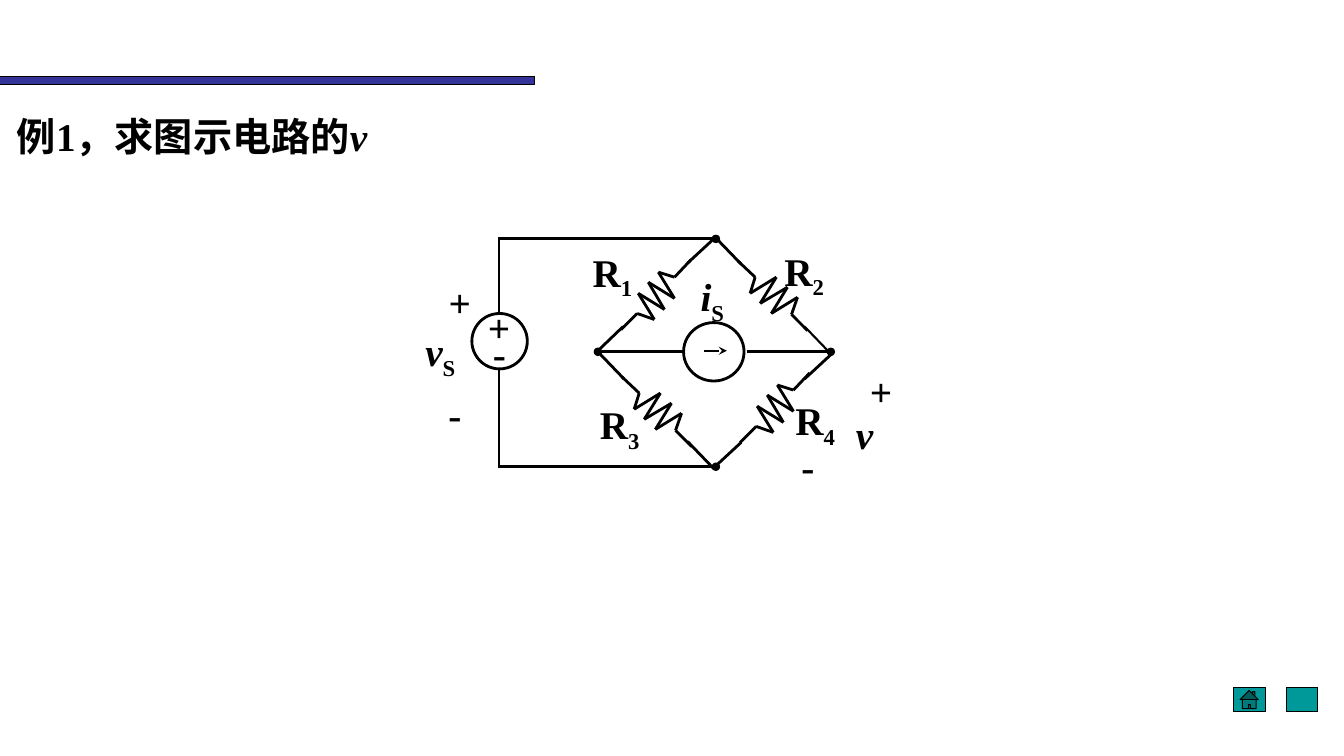
"""Build the slide with a bridge circuit exercise."""
from itertools import pairwise

from lxml.etree import SubElement
from pptx import Presentation
from pptx.dml.color import RGBColor
from pptx.enum.shapes import MSO_CONNECTOR, MSO_SHAPE
from pptx.enum.text import MSO_AUTO_SIZE, PP_ALIGN
from pptx.oxml.ns import qn
from pptx.util import Inches, Pt

BLACK = "000000"
FONT = "Times New Roman"

DECORATIONS = [
    (MSO_SHAPE.RECTANGLE, 0, 0.76, 5.3, 0.08, "333399"),
    (MSO_SHAPE.ACTION_BUTTON_HOME, 12.23, 6.82, 0.32, 0.24, "009999"),
    (MSO_SHAPE.ACTION_BUTTON_CUSTOM, 12.76, 6.82, 0.31, 0.24, "009999"),
]

SOURCES = [(6.78, 3.2, 0.6, 0.58), (4.68, 3.11, 0.55, 0.55)]

WIRES = [
    (4.94, 2.37, 7.1, 2.37, 2, "tailEnd", "oval"),
    (4.94, 4.63, 7.1, 4.63, 2, "tailEnd", "oval"),
    (5.93, 3.49, 6.76, 3.49, 2, "headEnd", "oval"),
    (7.41, 3.49, 8.24, 3.49, 2, "tailEnd", "oval"),
    (6.98, 3.48, 7.21, 3.48, 1.5, "tailEnd", "stealth"),
    (4.95, 3.12, 4.95, 2.37, 2),
    (4.95, 3.65, 4.95, 4.63, 2),
    (6.82, 2.61, 7.09, 2.36, 2),
    (7.09, 2.35, 7.35, 2.62, 2),
    (7.98, 3.76, 8.25, 3.51, 2),
    (5.92, 3.49, 6.18, 3.24, 2),
    (7.08, 4.64, 7.35, 4.39, 2),
    (7.98, 3.24, 8.24, 3.51, 1.5),
    (5.93, 3.49, 6.19, 3.76, 2),
    (6.82, 4.38, 7.08, 4.65, 2),
]

ZIGZAG = [(0, 0), (0.17, 0.16), (0.12, 0.32), (0.38, 0.16), (0.22, 0.42),
          (0.49, 0.26), (0.33, 0.52), (0.59, 0.36), (0.53, 0.53), (0.69, 0.69)]

RESISTORS = [(7.32, 2.59, False), (6.17, 3.74, False),
             (6.85, 2.58, True), (8.03, 3.7, True)]

PLAIN, ITALIC, SUB = "plain", "italic", "sub"
LABELS = [
    (0.07, 1.07, 6.8, True, [("例1，求图示电路的", PLAIN), ("v", ITALIC)]),
    (4.35, 2.71, 0.51, True, [("+", PLAIN)]),
    (4.35, 3.82, 0.33, False, [("-", PLAIN)]),
    (5.78, 2.41, 0.61, False, [("R", PLAIN), ("1", SUB)]),
    (7.68, 2.4, 0.61, False, [("R", PLAIN), ("2", SUB)]),
    (5.85, 3.92, 0.61, False, [("R", PLAIN), ("3", SUB)]),
    (7.79, 3.88, 0.61, False, [("R", PLAIN), ("4", SUB)]),
    (6.85, 2.65, 0.52, True, [("i", ITALIC), ("S", SUB)]),
    (4.12, 3.2, 0.52, False, [("v", ITALIC), ("S", SUB)]),
    (8.39, 4.02, 0.38, False, [("v", ITALIC)]),
    (8.53, 3.59, 0.42, False, [("+", PLAIN)]),
    (7.85, 4.34, 0.33, False, [("-", PLAIN)]),
    (4.79, 3.22, 0.52, True, [("-", PLAIN)]),
    (4.74, 2.96, 0.59, True, [("+", PLAIN)]),
]


def rgb(color):
    return RGBColor.from_string(color)


def add_shape(s, kind, x, y, w, h, fill=None, width=2):
    sp = s.shapes.add_shape(kind, Inches(x), Inches(y), Inches(w), Inches(h))
    sp.shadow.inherit = False
    if fill:
        sp.fill.solid()
        sp.fill.fore_color.rgb = rgb(fill)
    else:
        sp.fill.background()
    sp.line.color.rgb = rgb(BLACK)
    sp.line.width = Pt(width)


def add_line(s, x1, y1, x2, y2, width=2, end=None, marker=None):
    sp = s.shapes.add_connector(MSO_CONNECTOR.STRAIGHT, Inches(x1), Inches(y1),
                                Inches(x2), Inches(y2))
    sp.line.color.rgb = rgb(BLACK)
    sp.line.width = Pt(width)
    props = sp._element.spPr
    if end:
        SubElement(props.find(qn("a:ln")), qn("a:" + end), type=marker)
    SubElement(props, qn("a:effectLst"))


def add_resistor(s, x, y, turned):
    points = [(x - dy, y + dx) if turned else (x + dx, y + dy) for dx, dy in ZIGZAG]
    for start, stop in pairwise(points):
        add_line(s, *start, *stop)


def add_label(s, x, y, w, wrap, runs):
    tf = s.shapes.add_textbox(Inches(x), Inches(y), Inches(w), Inches(0.57)).text_frame
    tf.word_wrap = wrap
    tf.auto_size = MSO_AUTO_SIZE.SHAPE_TO_FIT_TEXT
    p = tf.paragraphs[0]
    p.alignment = PP_ALIGN.LEFT
    for text, style in runs:
        r = p.add_run()
        r.text = text
        r.font.name = FONT
        r.font.size = Pt(28)
        r.font.bold = True
        r.font.italic = style == ITALIC
        r.font.color.rgb = rgb(BLACK)
        if style == SUB:
            r.font._element.set("baseline", "-25000")


def main():
    prs = Presentation()
    prs.slide_width, prs.slide_height = Inches(13.33), Inches(7.5)
    s = prs.slides.add_slide(prs.slide_layouts[6])
    for decoration in DECORATIONS:
        add_shape(s, *decoration, width=0.75)
    for wire in WIRES:
        add_line(s, *wire)
    for resistor in RESISTORS:
        add_resistor(s, *resistor)
    for label in LABELS:
        add_label(s, *label)
    for source in SOURCES:
        add_shape(s, MSO_SHAPE.OVAL, *source)
    prs.save("out.pptx")


if __name__ == "__main__":
    main()
